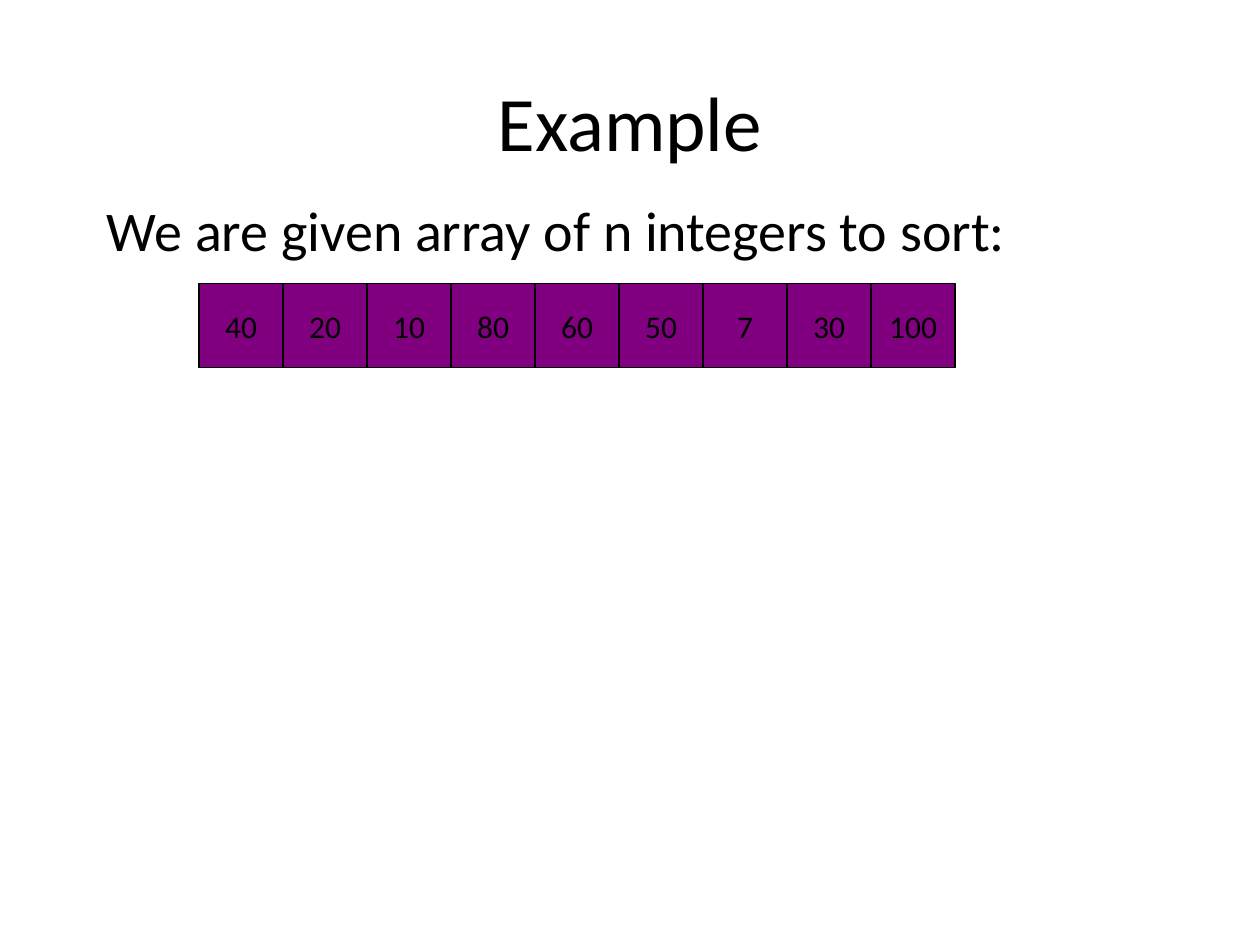
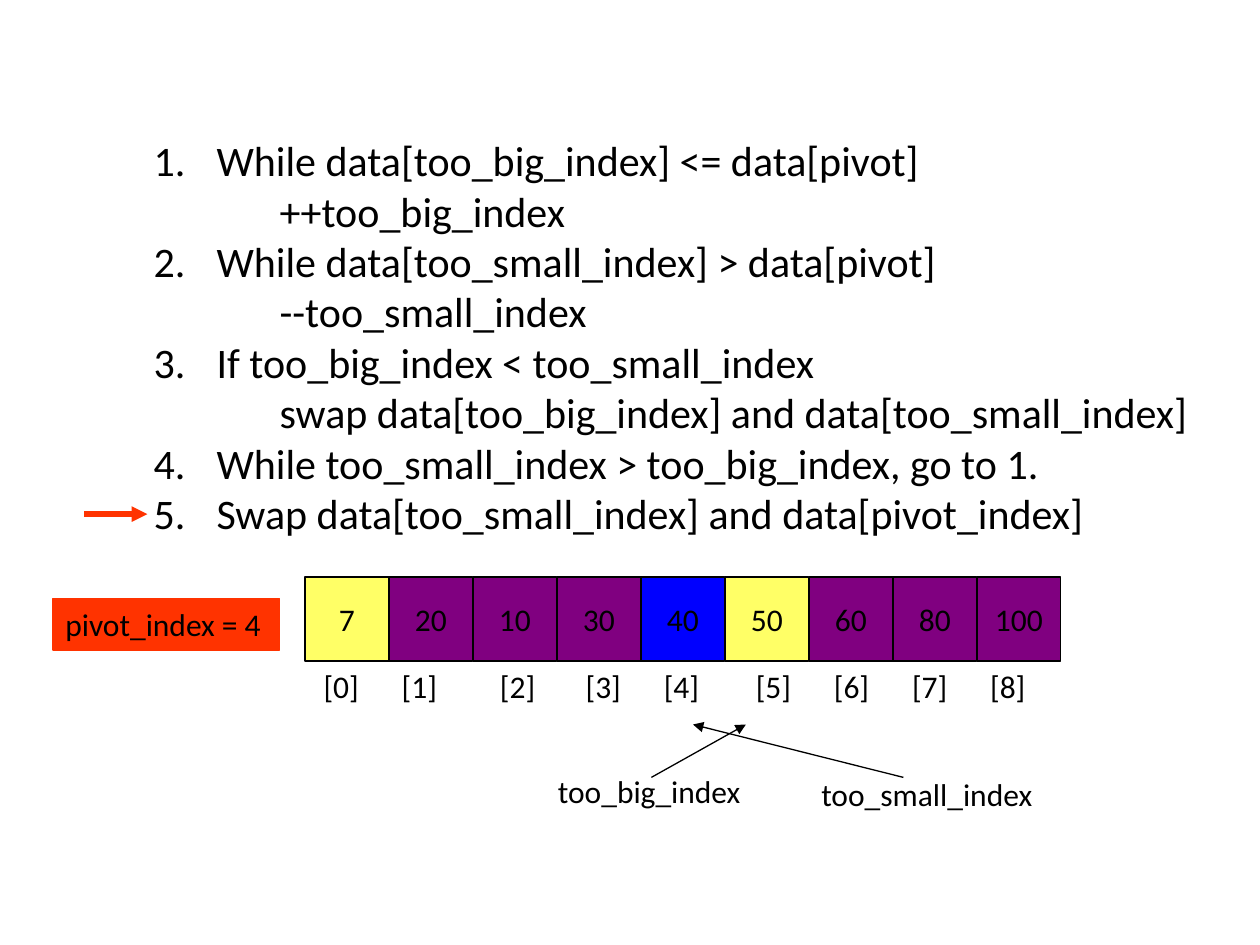
import pptx
import pptx.util
import pptx.dml.color
import pptx.enum.shapes
import pptx.enum.text
import pptx.oxml.ns
from lxml import etree

Inches, Pt = pptx.util.Inches, pptx.util.Pt
ALIGN, ANCHOR = pptx.enum.text.PP_ALIGN, pptx.enum.text.MSO_ANCHOR
FONT = "Calibri"
CELL = 2 / 3
COLORS = {"ink": "000000", "plain": "800080", "moved": "FFFF66",
          "pivot": "0000FF", "alert": "FF3300"}

# (text, level) of each line of the partition algorithm
STEPS = [
    ("While data[too_big_index] <= data[pivot]", 0),
    ("++too_big_index", 1),
    ("While data[too_small_index] > data[pivot]", 0),
    ("--too_small_index", 1),
    ("If too_big_index < too_small_index", 0),
    ("swap data[too_big_index] and data[too_small_index]", 1),
    ("While too_small_index > too_big_index, go to 1.", 0),
    ("Swap data[too_small_index] and data[pivot_index]", 0),
]
INDEX_TABS = [0.62, 1.4, 2.08, 2.7, 3.43, 4.05, 4.67, 5.29]


def color(name):
    return pptx.dml.color.RGBColor.from_string(COLORS[name])


def add_child(parent, tag, **values):
    child = etree.SubElement(parent, pptx.oxml.ns.qn(tag))
    for key, value in values.items():
        child.set(key, str(value))
    return child


def write(para, text, size):
    span = para.add_run()
    span.text = text
    span.font.color.rgb = color("ink")
    for key, value in {"name": FONT, "size": Pt(size)}.items():
        setattr(span.font, key, value)


def add_text(page, box, text, size=18, align=ALIGN.LEFT, anchor=ANCHOR.TOP):
    frame = page.shapes.add_textbox(*map(Inches, box)).text_frame
    for key, value in {"word_wrap": True, "vertical_anchor": anchor}.items():
        setattr(frame, key, value)
    para = frame.paragraphs[0]
    para.alignment = align
    if text:
        write(para, text, size)
    return frame


def add_block(page, box, text, fill, line="ink", align=ALIGN.CENTER, anchor=ANCHOR.MIDDLE):
    shape = page.shapes.add_shape(pptx.enum.shapes.MSO_SHAPE.RECTANGLE, *map(Inches, box))
    shape.shadow.inherit = False
    shape.fill.solid()
    shape.fill.fore_color.rgb = color(fill)
    shape.line.color.rgb = color(line)
    shape.line.width = Pt(0.75)
    frame = shape.text_frame
    for key, value in {"word_wrap": False, "vertical_anchor": anchor}.items():
        setattr(frame, key, value)
    frame.paragraphs[0].alignment = align
    write(frame.paragraphs[0], text, 18)


def add_arrow(page, start, end, line="ink", width=0.75):
    arrow = page.shapes.add_connector(
        pptx.enum.shapes.MSO_CONNECTOR.STRAIGHT, *map(Inches, (*start, *end)))
    arrow.line.color.rgb = color(line)
    arrow.line.width = Pt(width)
    add_child(arrow.line._get_or_add_ln(), "a:tailEnd", type="triangle")
    add_child(arrow._element.spPr, "a:effectLst")


def add_array(page, left, top, values, fills=None):
    """Draw a row of cells; fills maps a position to a highlight colour."""
    for position, value in enumerate(values):
        box = (left + position * CELL, top, CELL, CELL)
        add_block(page, box, str(value), (fills or {}).get(position, "plain"))


def add_steps(page, box):
    frame = add_text(page, box, "")
    for number, (text, level) in enumerate(STEPS):
        para = frame.add_paragraph() if number else frame.paragraphs[0]
        para.level = level
        props = para._p.get_or_add_pPr()
        props.set("marL", str(Inches(1 if level else 0.5)))
        props.set("indent", str(Inches(0 if level else -0.5)))
        if level:
            add_child(props, "a:buNone")
        else:
            add_child(props, "a:buFont", typeface=FONT)
            add_child(props, "a:buAutoNum", type="arabicPeriod")
        write(para, text, 24)


def add_indexes(page, box):
    """Label the cells [0] to [8] on one line, spaced by tab stops."""
    para = add_text(page, box, "").paragraphs[0]
    stops = add_child(para._p.get_or_add_pPr(), "a:tabLst")
    for stop in INDEX_TABS:
        add_child(stops, "a:tab", pos=Inches(stop), algn="l")
    write(para, "\t".join(f"[{i}]" for i in range(len(INDEX_TABS) + 1)), 18)


def build_example(page):
    add_text(page, (0.75, 0.33, 8.5, 1.25), "Example", 44, ALIGN.CENTER, ANCHOR.MIDDLE)
    add_text(page, (0.75, 1.5, 8.5, 4.5), "We are given array of n integers to sort:", 32)
    add_array(page, 1.58, 2.25, [40, 20, 10, 80, 60, 50, 7, 30, 100])


def build_partition(page):
    left, top = 2.42, 4.58
    add_steps(page, (1.12, 1.02, 8.49, 3.33))
    add_array(page, left, top, [7, 20, 10, 30, 40, 50, 60, 80, 100],
              {0: "moved", 4: "pivot", 5: "moved"})
    add_block(page, (0.42, top + 0.17, 1.8, 0.41), "pivot_index = 4",
              "alert", "alert", ALIGN.LEFT, ANCHOR.TOP)
    add_text(page, (4.33, 6.08, 3.17, 0.4), "too_big_index")
    add_text(page, (6.42, 6.1, 2.33, 0.4), "too_small_index")
    add_arrow(page, (7.17, 6.17), (5.5, 5.75))
    add_arrow(page, (5.17, 6.17), (5.92, 5.75))
    add_arrow(page, (0.67, 4.08), (1.17, 4.08), "alert", 3)
    add_indexes(page, (left + 0.05, top + CELL, 5.87, 0.4))


def main():
    deck = pptx.Presentation()
    deck.slide_width, deck.slide_height = Inches(10), Inches(7.5)
    for build in (build_example, build_partition):
        build(deck.slides.add_slide(deck.slide_layouts[6]))
    deck.save("out.pptx")


if __name__ == "__main__":
    main()
